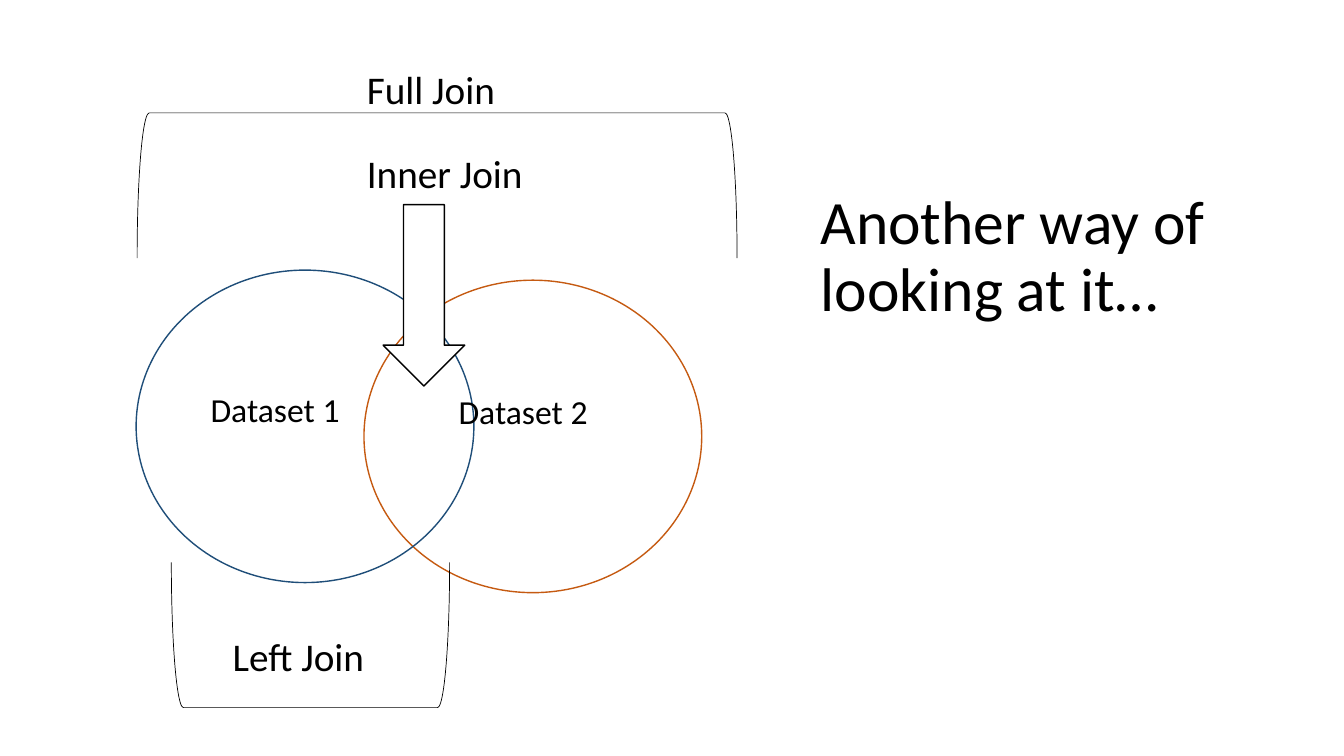
from pptx import Presentation
from pptx.dml.color import RGBColor
from pptx.enum.shapes import MSO_SHAPE
from pptx.enum.text import MSO_ANCHOR
from pptx.util import Inches, Pt

BLACK = RGBColor(0x00, 0x00, 0x00)
WHITE = RGBColor(0xFF, 0xFF, 0xFF)
BLUE = RGBColor(0x1F, 0x4E, 0x79)
ORANGE = RGBColor(0xC5, 0x5A, 0x11)

CIRCLE_SIZE = (3.35, 3.1)
DATASET_SIZE = (2.22, 0.5)
JOIN_SIZE = (2.79, 0.57)
BRACKET_DEPTH = 1.44


def apply_format(target, values):
    for name, value in values.items():
        setattr(target, name, value)


def add_outline(page, kind, place, size, color, weight=1, fill=None, rotation=0):
    shape = page.shapes.add_shape(kind, *map(Inches, place + size))
    shape.shadow.inherit = False
    shape.rotation = rotation
    if fill is None:
        shape.fill.background()
    else:
        shape.fill.solid()
        shape.fill.fore_color.rgb = fill
    shape.line.color.rgb = color
    shape.line.width = Pt(weight)


def add_circle(page, place, color):
    add_outline(page, MSO_SHAPE.OVAL, place, CIRCLE_SIZE, color)


def add_bracket(page, left, top, span_width, rotation):
    shift = (span_width - BRACKET_DEPTH) / 2
    add_outline(page, MSO_SHAPE.LEFT_BRACKET, (left + shift, top - shift),
                (BRACKET_DEPTH, span_width), BLACK, 0.5, rotation=rotation)


def add_text(page, text, place, size, points, anchor=MSO_ANCHOR.TOP, spacing=1.0):
    box = page.shapes.add_textbox(*map(Inches, place + size))
    apply_format(box.text_frame, {"word_wrap": True, "vertical_anchor": anchor})
    para = box.text_frame.paragraphs[0]
    para.line_spacing = spacing
    span = para.add_run()
    span.text = text
    apply_format(span.font, {"name": "Calibri", "size": Pt(points)})
    span.font.color.rgb = BLACK


def main():
    deck = Presentation()
    apply_format(deck, {"slide_width": Inches(13.33), "slide_height": Inches(7.5)})
    page = deck.slides.add_slide(deck.slide_layouts[6])

    add_circle(page, (3.61, 2.78), ORANGE)
    add_text(page, "Another way of looking at it…", (8.04, 0.87), (5.44, 3.38),
             44, MSO_ANCHOR.MIDDLE, 0.9)
    add_circle(page, (1.35, 2.68), BLUE)

    for text, place in (("Dataset 1", (1.99, 3.81)), ("Dataset 2", (4.45, 3.83))):
        add_text(page, text, place, DATASET_SIZE, 24)

    add_outline(page, MSO_SHAPE.DOWN_ARROW, (3.8, 2.03), (0.81, 1.8), BLACK, fill=WHITE)

    add_bracket(page, 1.36, 1.12, 5.95, 90)
    add_bracket(page, 1.7, 5.58, 2.76, 270)

    for text, place in (("Inner Join", (3.54, 1.43)), ("Full Join", (3.54, 0.6)),
                        ("Left Join", (2.21, 6.22))):
        add_text(page, text, place, JOIN_SIZE, 28)

    deck.save("out.pptx")


main()
